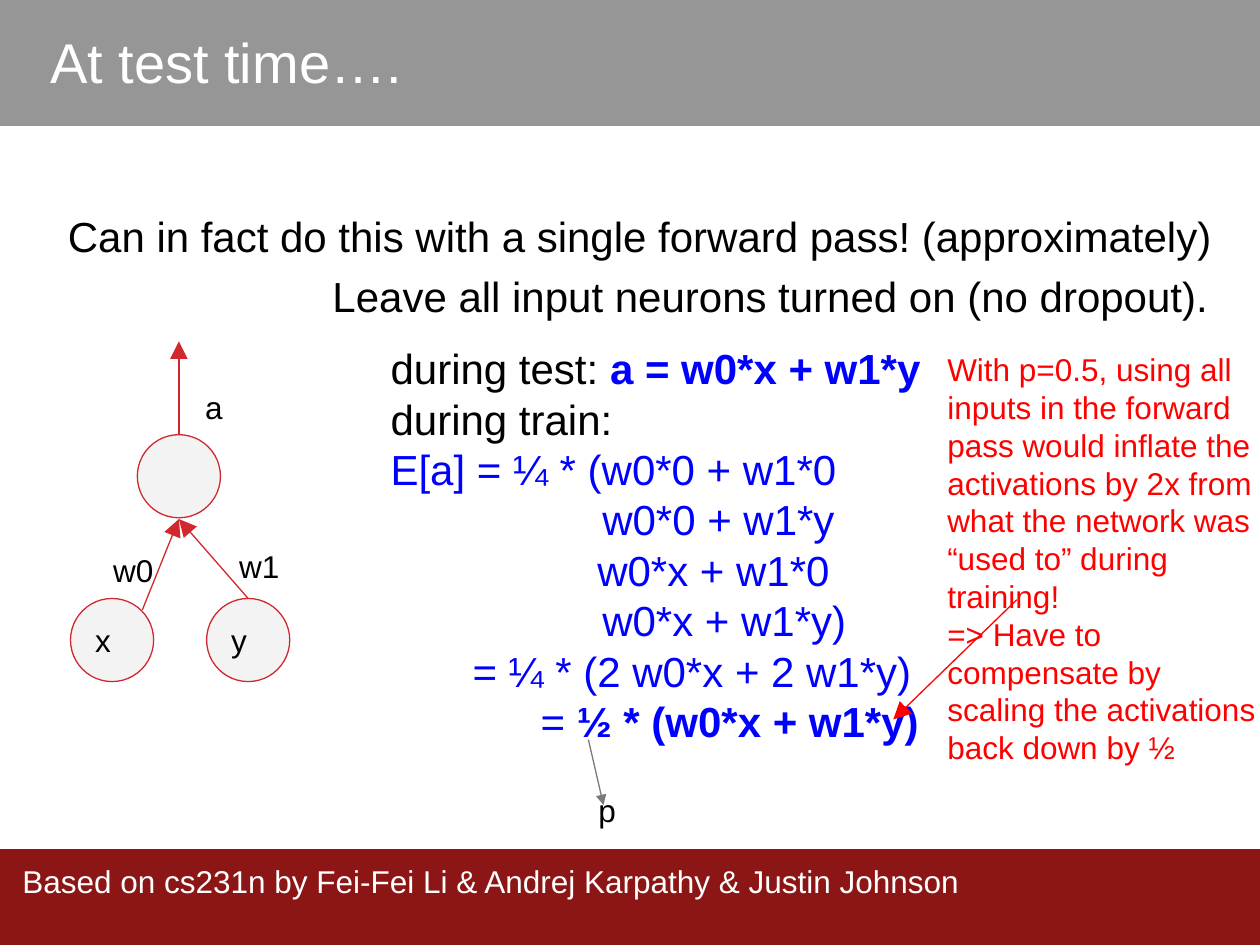
from lxml.etree import SubElement
from pptx import Presentation
from pptx.dml.color import RGBColor
from pptx.enum.shapes import MSO_CONNECTOR as Connector, MSO_SHAPE as Shape
from pptx.enum.text import MSO_ANCHOR as Anchor, MSO_AUTO_SIZE as AutoSize, PP_ALIGN as Align
from pptx.oxml.ns import qn
from pptx.util import Emu, Pt

PX = 9144
BLACK, WHITE, BLUE, RED, GRAY = "000000", "FFFFFF", "0000FF", "FF0000", "7A7A7A"
OUTLINE, NEURON, HEADER, FOOTER = "D1282E", "F3F3F3", "969696", "8C1515"


def px(*lengths):
    return [Emu(length * PX) for length in lengths]


def rgb(value):
    return RGBColor.from_string(value)


class Deck:
    """Holds the text style and the current slide, and draws each kind of element."""

    font = "Arial"
    leading = 1.2

    def __init__(self, width, height):
        self.prs = Presentation()
        self.prs.slide_width, self.prs.slide_height = px(width, height)
        self.slide = self.prs.slides.add_slide(self.prs.slide_layouts[1])
        self.shapes = self.slide.shapes

    def set_text(self, frame, paragraphs, size, anchor=Anchor.TOP, inset=10, wrap=True):
        frame.word_wrap = wrap
        frame.auto_size = AutoSize.NONE
        frame.vertical_anchor = anchor
        frame.margin_left = frame.margin_right = px(10)[0]
        frame.margin_top = frame.margin_bottom = px(inset)[0]
        for index, (indent, runs) in enumerate(paragraphs):
            paragraph = frame.paragraphs[0] if index == 0 else frame.add_paragraph()
            properties = paragraph._p.get_or_add_pPr()
            properties.set("marL", str(indent * PX))
            properties.set("indent", "0")
            SubElement(properties, qn("a:buNone"))
            paragraph.alignment = Align.LEFT
            paragraph.line_spacing = Pt(size * self.leading)
            paragraph.space_before = paragraph.space_after = Pt(0)
            for words, color, bold in runs:
                run = paragraph.add_run()
                run.text = words
                run.font.name, run.font.size = self.font, Pt(size)
                run.font.bold = bold
                run.font.color.rgb = rgb(color)

    def fill_placeholder(self, index, box, paragraphs, size, anchor=Anchor.TOP):
        holder = self.slide.placeholders[index]
        holder.left, holder.top, holder.width, holder.height = px(*box)
        self.set_text(holder.text_frame, paragraphs, size, anchor)

    def text(self, box, paragraphs, size=18, **layout):
        self.set_text(self.shapes.add_textbox(*px(*box)).text_frame, paragraphs, size, **layout)

    def band(self, top, height, color):
        band = self.shapes.add_shape(Shape.RECTANGLE, *px(0, top, 1000, height))
        band.shadow.inherit = False
        band.fill.solid()
        band.fill.fore_color.rgb = rgb(color)
        band.line.fill.background()
        self.shapes._spTree.insert(2, band._element)

    def neuron(self, left, top, label=""):
        neuron = self.shapes.add_shape(Shape.OVAL, *px(left, top, 66, 66))
        neuron.shadow.inherit = False
        neuron.fill.solid()
        neuron.fill.fore_color.rgb = rgb(NEURON)
        neuron.line.color.rgb = rgb(OUTLINE)
        neuron.line.width = Pt(0.75)
        if label:
            self.set_text(neuron.text_frame, [plain(label)], 18, Anchor.MIDDLE)

    def arrow(self, start, end, color=OUTLINE, head="lg"):
        arrow = self.shapes.add_connector(Connector.STRAIGHT, *px(*start, *end))
        arrow.line.color.rgb = rgb(color)
        arrow.line.width = Pt(0.75)
        SubElement(arrow.line._get_or_add_ln(), qn("a:tailEnd"), type="triangle", w=head, len=head)
        SubElement(arrow._element.spPr, qn("a:effectLst"))


def plain(words, color=BLACK, indent=0):
    return indent, [(words, color, False)]


def main():
    deck = Deck(1000, 750)
    deck.band(0, 100, HEADER)
    deck.band(674, 77, FOOTER)
    deck.text((8, 674, 992, 79),
              [plain("Based on cs231n by Fei-Fei Li & Andrej Karpathy & Justin Johnson", WHITE)])
    deck.fill_placeholder(0, (30, 8, 793, 81), [plain("At test time….", WHITE)], 32, Anchor.MIDDLE)
    deck.text((44, 157, 950, 81),
              [plain("Can in fact do this with a single forward pass! (approximately)")], 24)
    deck.text((254, 205, 721, 189), [plain("Leave all input neurons turned on (no dropout).")], 24)

    derivation = [
        (0, [("during test: ", BLACK, False), ("a = w0*x + w1*y", BLUE, True)]),
        plain("during train:"),
        plain("E[a] = ¼ * (w0*0 + w1*0", BLUE),
        plain("w0*0 + w1*y", BLUE, 168),
        plain("w0*x + w1*0", BLUE, 164),
        plain("w0*x + w1*y)", BLUE, 168),
        plain("= ¼ * (2 w0*x + 2 w1*y)", BLUE, 65),
        (119, [("= ", BLUE, False), ("½ * (w0*x + w1*y)", BLUE, True)]),
    ]
    deck.fill_placeholder(1, (300, 262, 656, 350), derivation, 24)

    deck.neuron(109, 345)
    deck.neuron(56, 475, "x")
    deck.neuron(164, 475, "y")
    output = (142, 412)
    deck.arrow((142, 345), (142, 271))
    deck.arrow((113, 484), output)
    deck.arrow((197, 475), output)
    for label, box in (("a", (153, 298, 44, 43)),
                       ("w0", (80, 427, 132, 65)),
                       ("w1", (180, 424, 86, 65))):
        deck.text(box, [plain(label)])

    deck.arrow((807, 476), (709, 571), RED)
    deck.text((742, 268, 270, 330), [
        plain("With p=0.5, using all inputs in the forward pass would inflate the activations "
              "by 2x from what the network was “used to” during training!", RED),
        plain("=> Have to compensate by scaling the activations back down by ½", RED),
    ])
    deck.text((465, 623, 34, 40), [plain("p")], inset=5, wrap=False)
    deck.arrow((467, 587), (479, 639), GRAY, "med")
    deck.prs.save("out.pptx")


if __name__ == "__main__":
    main()
